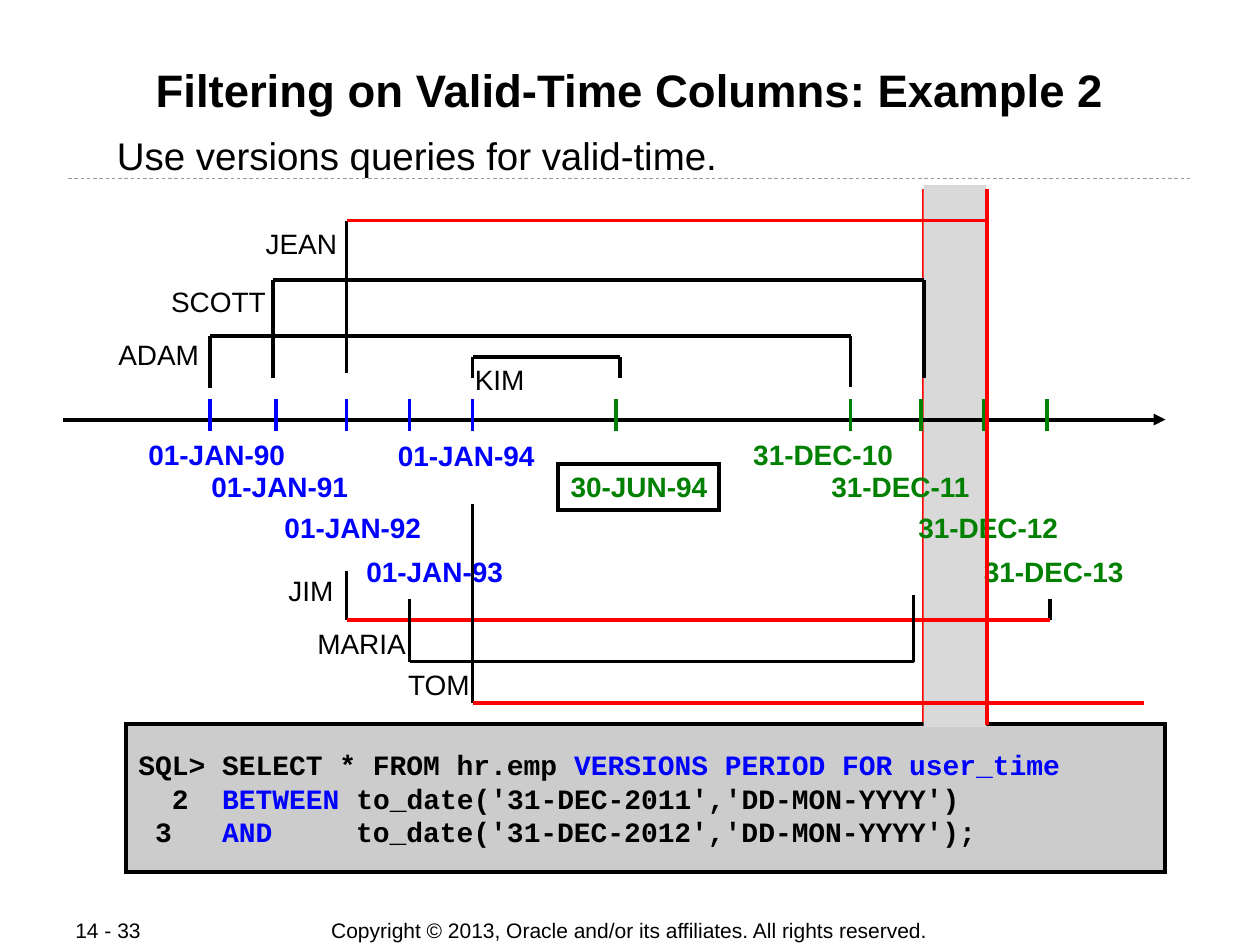
import pptx
import pptx.util
import pptx.dml.color
import pptx.enum.dml
import pptx.enum.shapes
import pptx.enum.text
import pptx.oxml.ns
from lxml import etree

Inches, Pt = pptx.util.Inches, pptx.util.Pt
ALIGN = pptx.enum.text.PP_ALIGN
ANCHOR = pptx.enum.text.MSO_ANCHOR
BLACK, BLUE, GREEN, RED = "000000", "0000FF", "008000", "FF0000"
SANS, MONO = "Arial", "Courier New"

TITLE = "Filtering on Valid-Time Columns: Example 2"
SUBTITLE = "Use versions queries for valid-time."
COPYRIGHT = "Copyright © 2013, Oracle and/or its affiliates. All rights reserved."
PAGE_NUMBER = "14 - 33"

# date, colour, tick x, label left, label top
DATES = [
    ("01-JAN-90", BLUE, 1.67, 1.08, 3.42),
    ("01-JAN-91", BLUE, 2.19, 1.58, 3.68),
    ("01-JAN-92", BLUE, 2.75, 2.16, 4.00),
    ("01-JAN-93", BLUE, 3.25, 2.81, 4.35),
    ("01-JAN-94", BLUE, 3.75, 3.06, 3.43),
    ("30-JUN-94", GREEN, 4.89, 4.43, 3.68),
    ("31-DEC-10", GREEN, 6.75, 5.88, 3.42),
    ("31-DEC-11", GREEN, 7.31, 6.50, 3.68),
    ("31-DEC-12", GREEN, 7.81, 7.19, 4.00),
    ("31-DEC-13", GREEN, 8.31, 7.71, 4.35),
]
FRAMED_DATE = "30-JUN-94"

# name, (label left, top), colour, rail y, (start x, leg end y), (end x, leg end y)
EMPLOYEES = [
    ("ADAM", (0.84, 2.63), BLACK, 2.67, (1.67, 3.08), (6.75, 3.07)),
    ("SCOTT", (1.26, 2.21), BLACK, 2.22, (2.17, 3.00), (7.33, 3.00)),
    ("JEAN", (2.01, 1.75), RED, 1.75, (2.75, 2.96), (7.83, 3.05)),
    ("JIM", (2.19, 4.50), RED, 4.92, (2.75, 4.53), (8.33, 4.75)),
    ("MARIA", (2.42, 4.92), BLACK, 5.25, (3.25, 4.75), (7.25, 4.72)),
    ("TOM", (3.14, 5.25), RED, 5.58, (3.75, 4.00), (9.08, None)),
    ("KIM", (3.67, 2.83), BLACK, 2.83, (3.75, 3.00), (4.92, 3.00)),
]

QUERY = [
    [("SQL> SELECT * FROM hr.emp ", BLACK), ("VERSIONS PERIOD FOR user_time", BLUE)],
    [("  2", BLACK), ("  BETWEEN ", BLUE), ("to_date('31-DEC-2011','DD-MON-YYYY')", BLACK)],
    [(" 3   ", BLACK), ("AND", BLUE), ("     to_date('31-DEC-2012','DD-MON-YYYY');", BLACK)],
]

PERIOD_START, PERIOD_END = 7.33, 7.83
PERIOD_TOP, PERIOD_BOTTOM = 1.5, 5.75
AXIS_Y = 3.33
TICK_TOP, TICK_BOTTOM = 3.17, 3.42
DATE_WIDTH, NAME_WIDTH, LABEL_HEIGHT = 1.4, 1.05, 0.37
FRAME_WIDTH = 1.28

deck = pptx.Presentation()
deck.slide_width, deck.slide_height = Inches(10), Inches(7.5)
page = deck.slides.add_slide(deck.slide_layouts[6])


def rgb(value):
    return pptx.dml.color.RGBColor.from_string(value)


def add_line(x1, y1, x2, y2, color=BLACK, width=2.25):
    line = page.shapes.add_connector(
        pptx.enum.shapes.MSO_CONNECTOR.STRAIGHT,
        Inches(x1), Inches(y1), Inches(x2), Inches(y2))
    line.line.color.rgb = rgb(color)
    line.line.width = Pt(width)
    etree.SubElement(line._element.spPr, pptx.oxml.ns.qn("a:effectLst"))
    return line


def add_rectangle(left, top, width, height, fill=None, outline=None):
    box = page.shapes.add_shape(
        pptx.enum.shapes.MSO_SHAPE.RECTANGLE,
        Inches(left), Inches(top), Inches(width), Inches(height))
    box.shadow.inherit = False
    if fill:
        box.fill.solid()
        box.fill.fore_color.rgb = rgb(fill)
    else:
        box.fill.background()
    if outline:
        box.line.color.rgb = rgb(outline)
        box.line.width = Pt(2.25)
        etree.SubElement(box.line._get_or_add_ln(), pptx.oxml.ns.qn("a:miter"), lim="800000")
    else:
        box.line.fill.background()
    return box


def write(box, lines, size, font=SANS, bold=False, align=ALIGN.LEFT,
          anchor=ANCHOR.TOP, wrap=True, margins=(0.1, 0.05)):
    """Fill a box with lines, each a list of (text, colour) runs."""
    frame = box.text_frame
    frame.word_wrap = wrap
    frame.vertical_anchor = anchor
    frame.margin_left = frame.margin_right = Inches(margins[0])
    frame.margin_top = frame.margin_bottom = Inches(margins[1])
    for index, runs in enumerate(lines):
        para = frame.add_paragraph() if index else frame.paragraphs[0]
        para.alignment = align
        for text, color in runs:
            span = para.add_run()
            span.text = text
            span.font.name = font
            span.font.size = Pt(size)
            span.font.bold = bold
            span.font.color.rgb = rgb(color)


def add_text(text, left, top, width, height, size, color=BLACK, **style):
    box = page.shapes.add_textbox(
        Inches(left), Inches(top), Inches(width), Inches(height))
    write(box, [[(text, color)]], size, **style)


# Page furniture
add_text(COPYRIGHT, 2.5, 7.28, 4.99, 0.21, 12, align=ALIGN.CENTER, anchor=ANCHOR.MIDDLE)
add_text(PAGE_NUMBER, 0.5, 7.28, 1.06, 0.2, 12, anchor=ANCHOR.MIDDLE)
rule = add_line(0.54, 1.42, 9.46, 1.42, "999999", 0.5)
rule.line.dash_style = pptx.enum.dml.MSO_LINE.DASH
add_text(TITLE, 0.67, 0.48, 8.66, 0.96, 26, bold=True, align=ALIGN.CENTER,
         margins=(0.01, 0.01))
add_text(SUBTITLE, 0.83, 1, 8.42, 0.45, 22)

# Query and the period it selects
add_line(PERIOD_START, PERIOD_TOP, PERIOD_START, PERIOD_BOTTOM, RED)
query_box = add_rectangle(1, PERIOD_BOTTOM, 8.25, 1.17, "CCCCCC", BLACK)
write(query_box, QUERY, 16, MONO, bold=True, anchor=ANCHOR.MIDDLE, margins=(0.1, 0.01))
add_rectangle(PERIOD_START, 1.47, PERIOD_END - PERIOD_START, 4.3, "D9D9D9")

# Time axis
axis = add_line(0.5, AXIS_Y, 9.25, AXIS_Y)
etree.SubElement(axis.line._get_or_add_ln(), pptx.oxml.ns.qn("a:tailEnd"), type="triangle")
for date, color, tick, left, top in DATES:
    add_line(tick, TICK_TOP, tick, TICK_BOTTOM, color)
    if date == FRAMED_DATE:
        frame_box = add_rectangle(left, top, FRAME_WIDTH, LABEL_HEIGHT, outline=BLACK)
        write(frame_box, [[(date, color)]], 16, bold=True, wrap=False)
    else:
        add_text(date, left, top, DATE_WIDTH, LABEL_HEIGHT, 16, color, bold=True)

# Validity bracket of each employee
for name, (left, top), color, rail, start, end in EMPLOYEES:
    for x, leg_end in (start, end):
        if leg_end is not None:
            add_line(x, leg_end, x, rail)
    add_line(start[0], rail, end[0], rail, color)
    add_text(name, left, top, NAME_WIDTH, LABEL_HEIGHT, 16)

add_line(PERIOD_END, PERIOD_TOP, PERIOD_END, PERIOD_BOTTOM, RED)

deck.save("out.pptx")
